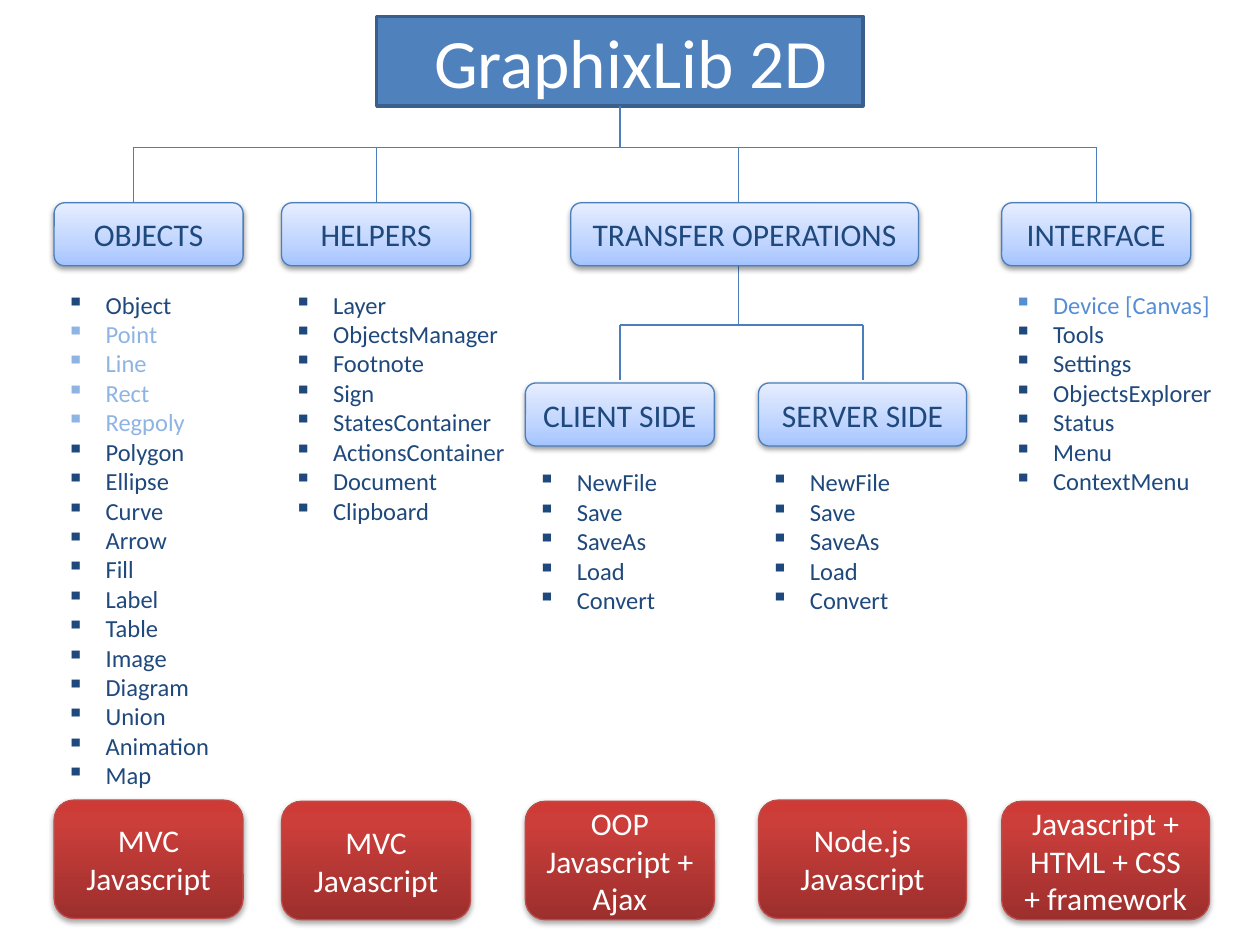
from lxml import etree
from pptx import Presentation
from pptx.dml.color import RGBColor
from pptx.enum.shapes import MSO_CONNECTOR, MSO_SHAPE
from pptx.enum.text import MSO_ANCHOR, MSO_AUTO_SIZE, PP_ALIGN
from pptx.oxml.ns import qn
from pptx.util import Inches, Pt

COLORS = {
    "white": "FFFFFF", "navy": "1F497D", "pale": "8EB4E3", "sky": "558ED5",
    "title": "4F81BD", "title_edge": "3A5F8C", "line": "4B7EBC",
    "red_edge": "BF4C48", "black": "000000",
}
# Gradient stops run from the bottom of a box to its top.
BLUE = dict(stops=[(0, "A4C4FF"), (35, "BFD4FF"), (100, "E6EEFF")],
            edge="line", text="navy", shade=38)
RED = dict(stops=[(0, "9C2F2D"), (80, "CB3E3A"), (100, "CE3B37")],
           edge="red_edge", text="white", shade=35)


def rgb(name):
    """Return the named colour."""
    return RGBColor.from_string(COLORS[name])


def add(parent, tag, **attrs):
    """Append a DrawingML element and return it."""
    values = {key: str(value) for key, value in attrs.items()}
    return etree.SubElement(parent, qn("a:" + tag), values)


class Chart:
    """Style and slide of a tree diagram on a grid of 100 by 75 cells."""
    font = "Calibri"

    def __init__(self, prs):
        self.slide = prs.slides.add_slide(prs.slide_layouts[6])
        self.shapes = self.slide.shapes
        self.cell = prs.slide_width / 100

    def grid(self, *cells):
        """Turn grid cells into slide lengths."""
        return [round(c * self.cell) for c in cells]

    def style_text(self, paragraph, text, size, color, align=PP_ALIGN.CENTER):
        """Add one run of styled text."""
        paragraph.alignment = align
        run = paragraph.add_run()
        run.text = text
        run.font.name, run.font.size = self.font, Pt(size)
        run.font.color.rgb = rgb(color)

    def title(self, text, bar, area):
        """Draw the title bar and the title centred on the slide."""
        rect = self.shapes.add_shape(MSO_SHAPE.RECTANGLE, *self.grid(*bar))
        rect.shadow.inherit = False
        rect.fill.solid()
        rect.fill.fore_color.rgb = rgb("title")
        rect.line.color.rgb, rect.line.width = rgb("title_edge"), Pt(2)
        frame = self.shapes.add_textbox(*self.grid(*area)).text_frame
        frame.word_wrap, frame.vertical_anchor = True, MSO_ANCHOR.MIDDLE
        self.style_text(frame.paragraphs[0], text, 39.6, "white")

    def line(self, *ends):
        """Draw a straight line between two grid points."""
        line = self.shapes.add_connector(MSO_CONNECTOR.STRAIGHT, *self.grid(*ends))
        line.line.color.rgb, line.line.width = rgb("line"), Pt(0.75)
        add(line._element.spPr, "effectLst")

    def branch(self, stem, top, bus, bottom, drops):
        """Draw a stem, a horizontal bus and the drops below it."""
        self.line(stem, top, stem, bus)
        self.line(drops[0], bus, drops[-1], bus)
        for x in drops:
            self.line(x, bus, x, bottom)

    def box(self, text, x, y, w, h, look):
        """Draw a rounded box with a gradient and a soft shadow."""
        box = self.shapes.add_shape(MSO_SHAPE.ROUNDED_RECTANGLE, *self.grid(x, y, w, h))
        box.line.color.rgb, box.line.width = rgb(look["edge"]), Pt(0.75)
        props = box._element.spPr
        fill = add(props, "gradFill", rotWithShape=1)
        stops = add(fill, "gsLst")
        for place, color in look["stops"]:
            add(add(stops, "gs", pos=place * 1000), "srgbClr", val=color)
        add(fill, "lin", ang=270 * 60000, scaled=0)
        props.find(qn("a:ln")).addprevious(fill)
        shadow = add(add(props, "effectLst"), "outerShdw", blurRad=40000,
                     dist=20000, dir=90 * 60000, rotWithShape=0)
        color = add(shadow, "srgbClr", val=COLORS["black"])
        add(color, "alpha", val=look["shade"] * 1000)
        frame = box.text_frame
        frame.word_wrap, frame.vertical_anchor = True, MSO_ANCHOR.MIDDLE
        for i, part in enumerate(text.split("\n")):
            paragraph = frame.add_paragraph() if i else frame.paragraphs[0]
            self.style_text(paragraph, part, 18, look["text"])

    def bullets(self, items, x, y, w, h, tints):
        """Add a bulleted list; tints gives items another colour."""
        frame = self.shapes.add_textbox(*self.grid(x, y, w, h)).text_frame
        frame.word_wrap = False
        frame.auto_size = MSO_AUTO_SIZE.SHAPE_TO_FIT_TEXT
        indent = Inches(0.31)
        for i, item in enumerate(items):
            paragraph = frame.add_paragraph() if i else frame.paragraphs[0]
            self.style_text(paragraph, item, 14, tints.get(item, "navy"), PP_ALIGN.LEFT)
            props = paragraph._p.get_or_add_pPr()
            props.set("marL", str(indent))
            props.set("indent", str(-indent))
            add(props, "buChar", char="▪")


TRANSFER = "NewFile Save SaveAs Load Convert".split()
TINTS = dict.fromkeys(["Point", "Line", "Rect", "Regpoly"], "pale")
TINTS["Device [Canvas]"] = "sky"
TOP, SUB = 16.1, 30.4
# heading, left, heading row, heading width, list width, items, technology,
# technology row, technology width
COLUMNS = [
    ("OBJECTS", 4.3, TOP, 15, 13.5,
     "Object Point Line Rect Regpoly Polygon Ellipse Curve Arrow Fill Label "
     "Table Image Diagram Union Animation Map".split(),
     "MVC Javascript", 63.5, 15),
    ("HELPERS", 22.35, TOP, 15, 18.9,
     "Layer ObjectsManager Footnote Sign StatesContainer ActionsContainer "
     "Document Clipboard".split(), "MVC Javascript", 63.6, 15),
    ("CLIENT SIDE", 41.7, SUB, 15, 11.6, TRANSFER,
     "OOP Javascript + Ajax", 63.6, 15),
    ("SERVER SIDE", 60.2, SUB, 16.5, 11.6, TRANSFER,
     "Node.js\nJavascript", 63.5, 16.5),
    ("INTERFACE", 79.5, TOP, 15, 17.9,
     ["Device [Canvas]"] + "Tools Settings ObjectsExplorer Status Menu "
     "ContextMenu".split(),
     "Javascript + HTML + CSS + framework", 63.6, 16.5),
]


def main():
    """Build the slide and save it."""
    prs = Presentation()
    prs.slide_width, prs.slide_height = Inches(10), Inches(7.5)
    chart = Chart(prs)
    chart.title("GraphixLib 2D", (29.9, 1.3, 38.6, 7.1), (2, 1.3, 96.1, 7.1))
    chart.branch(49.2, 8.4, 11.7, TOP, [10.6, 29.9, 58.6, 87])
    chart.branch(58.6, 21.1, 25.8, 30.2, [49.2, 68.5])
    chart.box("TRANSFER OPERATIONS", 45.3, TOP, 27.6, 5, BLUE)
    for heading, x, y, w, list_w, items, tech, tech_y, tech_w in COLUMNS:
        chart.box(heading, x, y, w, 5, BLUE)
        gap = 6.4 if y == TOP else 6.2
        chart.bullets(items, x, y + gap, list_w, 1 + 2.36 * len(items), TINTS)
        chart.box(tech, x, tech_y, tech_w, 9.4, RED)
    prs.save("out.pptx")


main()
